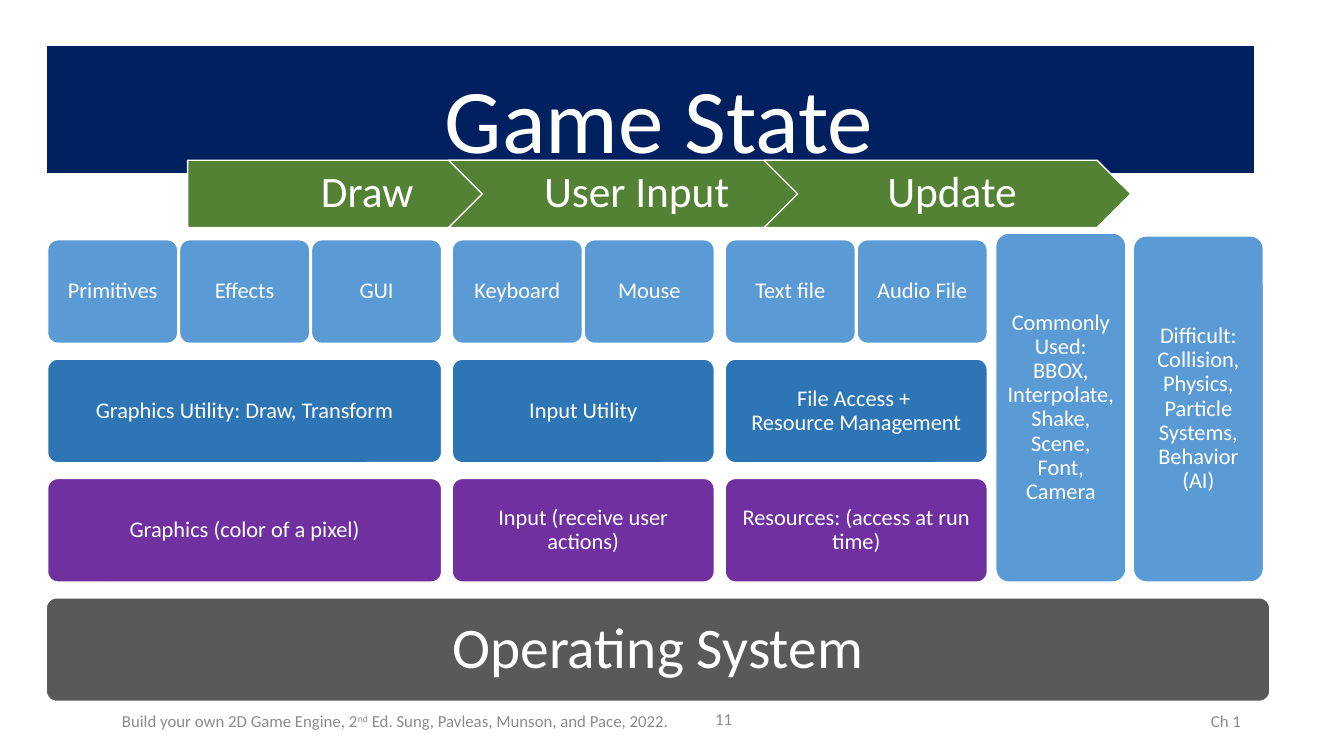
import pptx
import pptx.util
import pptx.dml.color
import pptx.enum.shapes
import pptx.enum.text

Pt = pptx.util.Pt
RGBColor = pptx.dml.color.RGBColor
SHAPE = pptx.enum.shapes.MSO_SHAPE
ANCHOR = pptx.enum.text.MSO_ANCHOR
ALIGN = pptx.enum.text.PP_ALIGN
NO_AUTOFIT = pptx.enum.text.MSO_AUTO_SIZE.NONE

WHITE = RGBColor(0xFF, 0xFF, 0xFF)
NAVY = RGBColor(0x00, 0x20, 0x60)
GREEN = RGBColor(0x54, 0x82, 0x35)
LIGHT_BLUE = RGBColor(0x5B, 0x9B, 0xD5)
BLUE = RGBColor(0x2E, 0x75, 0xB6)
PURPLE = RGBColor(0x70, 0x30, 0xA0)
DARK_GRAY = RGBColor(0x59, 0x59, 0x59)
FOOTER_GRAY = RGBColor(0x8C, 0x8C, 0x8C)

TILE_WIDTH = 93
ROW_HEIGHT = 74
ROW_TOPS = [171.25 + 85.25 * row for row in range(4)]
BLOCK_INSETS = (5, 5, 5, 5)
STAGE_INSETS = (10, 6.5, 3.6, 6.5)

COLUMNS = [
    (34, 281.5, ["Primitives", "Effects", "GUI"],
     "Graphics Utility: Draw, Transform", "Graphics (color of a pixel)"),
    (323, 187.25, ["Keyboard", "Mouse"],
     "Input Utility", "Input (receive user actions)"),
    (518, 187.25, ["Text file", "Audio File"],
     "File Access + \vResource Management", "Resources: (access at run time)"),
]
TOOLS = [
    (711.25, 166.5, "Commonly Used: BBOX, Interpolate, Shake, Scene, Font, Camera"),
    (809.5, 168.5, "Difficult: Collision, Physics, Particle Systems, Behavior (AI)"),
]
STAGES = [
    (SHAPE.PENTAGON, 134, "Draw"),
    (SHAPE.CHEVRON, 320.5, "User Input"),
    (SHAPE.CHEVRON, 545.75, "Update"),
]


def apply(target, values):
    for name, value in values.items():
        setattr(target, name, value)


def format_text(box, size, color, align, anchor, insets):
    left, top, right, bottom = insets
    apply(box.text_frame, {
        "word_wrap": True, "auto_size": NO_AUTOFIT, "vertical_anchor": anchor,
        "margin_left": Pt(left), "margin_top": Pt(top),
        "margin_right": Pt(right), "margin_bottom": Pt(bottom),
    })
    for para in box.text_frame.paragraphs:
        apply(para, {"alignment": align, "line_spacing": 0.9})
        for span in para.runs:
            apply(span.font, {"name": "Calibri", "size": Pt(size)})
            span.font.color.rgb = color


def paint(box, color):
    box.fill.solid()
    box.fill.fore_color.rgb = color
    box.line.color.rgb = WHITE
    box.line.width = Pt(1)


def add_title(page, text):
    title = page.shapes.title
    apply(title, {"left": Pt(33), "top": Pt(32.5), "width": Pt(863.5), "height": Pt(91.5)})
    title.text_frame.text = text
    paint(title, NAVY)
    format_text(title, 65, WHITE, ALIGN.CENTER, ANCHOR.BOTTOM, (19.5, 0, 7.2, 0))


def add_box(page, kind, place, text, color, size, insets):
    box = page.shapes.add_shape(kind, *(Pt(length) for length in place))
    box.shadow.inherit = False
    box.text_frame.text = text
    paint(box, color)
    format_text(box, size, WHITE, ALIGN.CENTER, ANCHOR.MIDDLE, insets)
    return box


def add_block(page, place, text, color, size=16, insets=BLOCK_INSETS):
    block = add_box(page, SHAPE.ROUNDED_RECTANGLE, place, text, color, size, insets)
    block.adjustments[0] = 0.1


def add_column(page, left, width, tiles, utility, base):
    pitch = (width - TILE_WIDTH) / (len(tiles) - 1)
    for index, text in enumerate(tiles):
        add_block(page, (left + index * pitch, ROW_TOPS[0], TILE_WIDTH, ROW_HEIGHT),
                  text, LIGHT_BLUE)
    for top, text, color in [(ROW_TOPS[1], utility, BLUE), (ROW_TOPS[2], base, PURPLE)]:
        add_block(page, (left, top, width, ROW_HEIGHT), text, color)


def add_footer(page, left, top, width, parts, align):
    box = page.shapes.add_textbox(Pt(left), Pt(top), Pt(width), Pt(28.75))
    para = box.text_frame.paragraphs[0]
    for text, baseline in parts:
        span = para.add_run()
        span.text = text
        if baseline:
            span._r.get_or_add_rPr().set("baseline", str(baseline))
    format_text(box, 12, FOOTER_GRAY, align, ANCHOR.MIDDLE, (7.2, 3.6, 7.2, 3.6))
    para.line_spacing = 1.0


def main():
    deck = pptx.Presentation()
    deck.slide_width = Pt(960)
    deck.slide_height = Pt(540)
    page = deck.slides.add_slide(deck.slide_layouts[5])

    add_title(page, "Game State")
    add_footer(page, 547.25, 500.5, 346.25, [("Ch 1", 0)], ALIGN.RIGHT)
    add_footer(page, 80, 500.5, 425, [
        ("Build your own 2D Game Engine, 2", 0), ("nd", 30000),
        (" Ed. Sung, Pavleas, Munson, and Pace, 2022.", 0)], ALIGN.LEFT)
    add_footer(page, 444.25, 499, 85.75, [("11", 0)], ALIGN.RIGHT)

    add_block(page, (33, ROW_TOPS[3], 874, ROW_HEIGHT), "Operating System",
              DARK_GRAY, 41, (12, 12, 12, 12))
    for column in COLUMNS:
        add_column(page, *column)
    tools_bottom = ROW_TOPS[2] + ROW_HEIGHT
    for left, top, text in TOOLS:
        add_block(page, (left, top, TILE_WIDTH, tools_bottom - top), text, LIGHT_BLUE)
    for kind, left, text in STAGES:
        add_box(page, kind, (left, 114.5, 262, 48), text, GREEN, 31, STAGE_INSETS)

    deck.save("out.pptx")


main()
